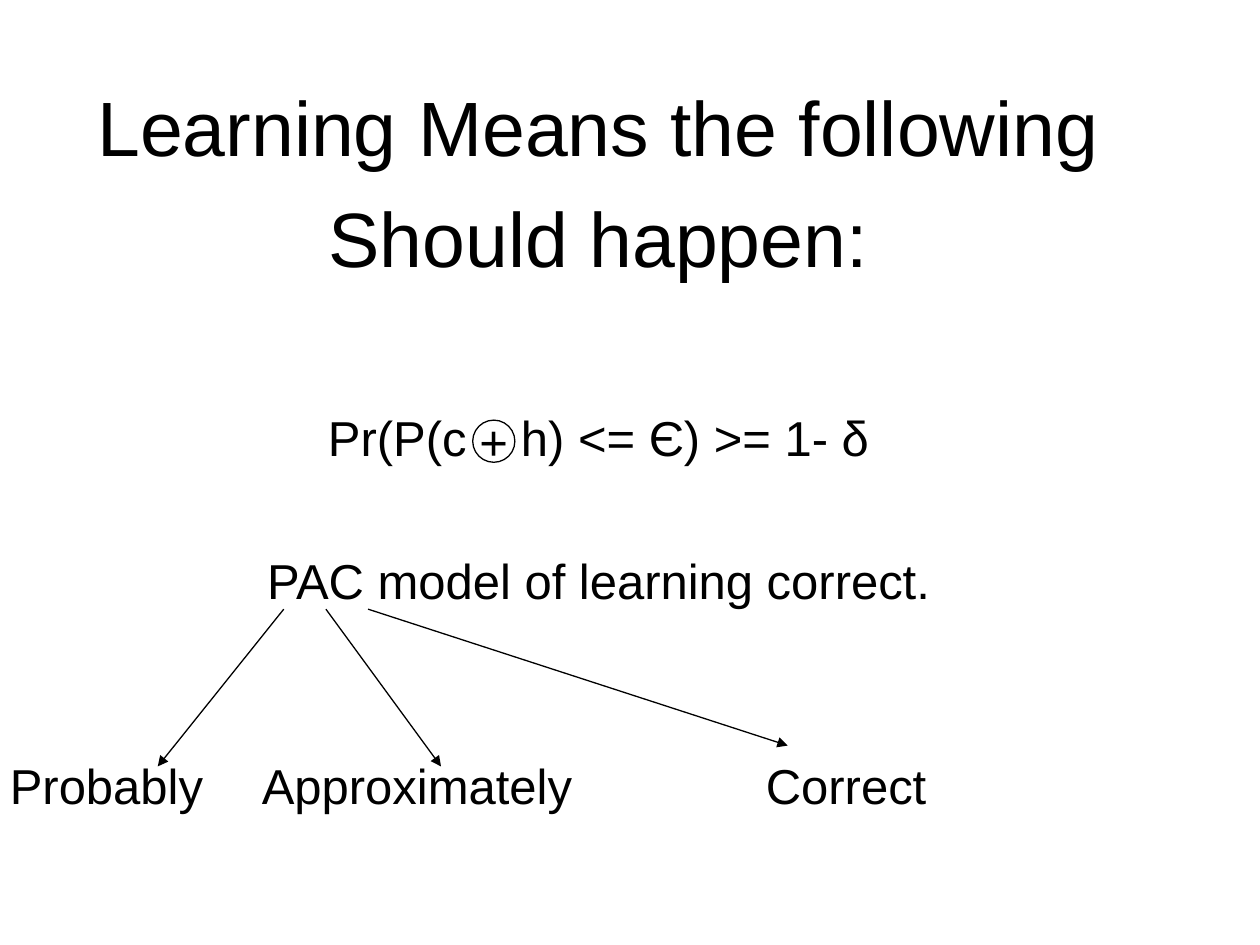
import pptx
import pptx.dml.color
import pptx.enum.shapes
import pptx.enum.text
import pptx.oxml
import pptx.oxml.ns
import pptx.util

Cm = pptx.util.Cm
Pt = pptx.util.Pt
ALIGN = pptx.enum.text.PP_ALIGN
ANCHOR = pptx.enum.text.MSO_ANCHOR

THEME = {
    "font": "Arial",
    "ink": pptx.dml.color.RGBColor(0, 0, 0),
    "title": 44,
    "body": 28,
    "line": 0.75,
}

TITLE = ["Learning Means the following", "Should happen:"]
FORMULA = [("Pr(P(c", 0), (" ", 23.3), ("h) <= Є) >= 1- δ", 0)]
MODEL = "PAC model of learning correct."
MEANINGS = ["Probably", "Approximately", "Correct"]
MEANING_STOPS = [5.08, 15.24]

TITLE_BOX = (1.27, 1.47, 21.59, 5)
BODY_BOX = (1.27, 8.08, 21.59, 5.8)
MEANING_BOX = (-0.05, 15.1, 19.5, 1.45)
OPERATOR_BOX = (9.53, 8.47, 0.85, 0.85)

ARROW_START = (5.72, 12.28)
ARROW_STEP = 0.85
ARROW_ENDS = [(3.18, 15.45), (8.89, 15.45), (15.88, 15.03)]


def lengths(values):
    return [Cm(value) for value in values]


def add_child(parent, tag, **attributes):
    child = pptx.oxml.parse_xml(f"<a:{tag} {pptx.oxml.ns.nsdecls('a')}/>")
    for name, value in attributes.items():
        child.set(name, value)
    parent.append(child)
    return child


def write(frame, paragraphs, size=THEME["body"], align=ALIGN.CENTER,
          anchor=ANCHOR.TOP, gap=0, wrap=True):
    frame.word_wrap = wrap
    frame.auto_size = pptx.enum.text.MSO_AUTO_SIZE.NONE
    frame.vertical_anchor = anchor
    frame.margin_left = frame.margin_right = Cm(0.25)
    frame.margin_top = frame.margin_bottom = Cm(0.13)
    for index, content in enumerate(paragraphs):
        para = frame.add_paragraph() if index else frame.paragraphs[0]
        para.alignment = align
        para.space_before = Pt(gap if index else 0)
        spans = [(content, 0)] if isinstance(content, str) else content
        for text, tracking in spans:
            span = para.add_run()
            span.text = text
            span.font.name = THEME["font"]
            span.font.size = Pt(size)
            span.font.color.rgb = THEME["ink"]
            if tracking:
                span.font._element.set("spc", str(round(tracking * 100)))


def set_tab_stops(para, stops):
    tab_list = add_child(para._p.get_or_add_pPr(), "tabLst")
    for stop in stops:
        add_child(tab_list, "tab", pos=str(Cm(stop)), algn="l")


def outline(line):
    line.color.rgb = THEME["ink"]
    line.width = Pt(THEME["line"])


def add_arrow(page, start, end):
    arrow = page.shapes.add_connector(
        pptx.enum.shapes.MSO_CONNECTOR.STRAIGHT, *lengths(start + end))
    outline(arrow.line)
    add_child(arrow.line._get_or_add_ln(), "tailEnd", type="triangle")
    add_child(arrow._element.spPr, "effectLst")


def main():
    deck = pptx.Presentation()
    deck.slide_width, deck.slide_height = lengths((25.4, 19.05))
    page = deck.slides.add_slide(deck.slide_layouts[5])

    title = page.shapes.title
    title.left, title.top, title.width, title.height = lengths(TITLE_BOX)
    write(title.text_frame, TITLE, size=THEME["title"], gap=11)

    body = page.shapes.add_textbox(*lengths(BODY_BOX))
    write(body.text_frame, [FORMULA, MODEL], gap=48)

    operator = page.shapes.add_shape(
        pptx.enum.shapes.MSO_SHAPE.OVAL, *lengths(OPERATOR_BOX))
    operator.shadow.inherit = False
    operator.fill.background()
    outline(operator.line)
    write(operator.text_frame, ["+"], anchor=ANCHOR.MIDDLE, wrap=False)

    meanings = page.shapes.add_textbox(*lengths(MEANING_BOX))
    write(meanings.text_frame, ["\t".join(MEANINGS)], align=ALIGN.LEFT)
    set_tab_stops(meanings.text_frame.paragraphs[0], MEANING_STOPS)

    left, top = ARROW_START
    for index, end in enumerate(ARROW_ENDS):
        add_arrow(page, (left + index * ARROW_STEP, top), end)

    deck.save("out.pptx")


if __name__ == "__main__":
    main()
